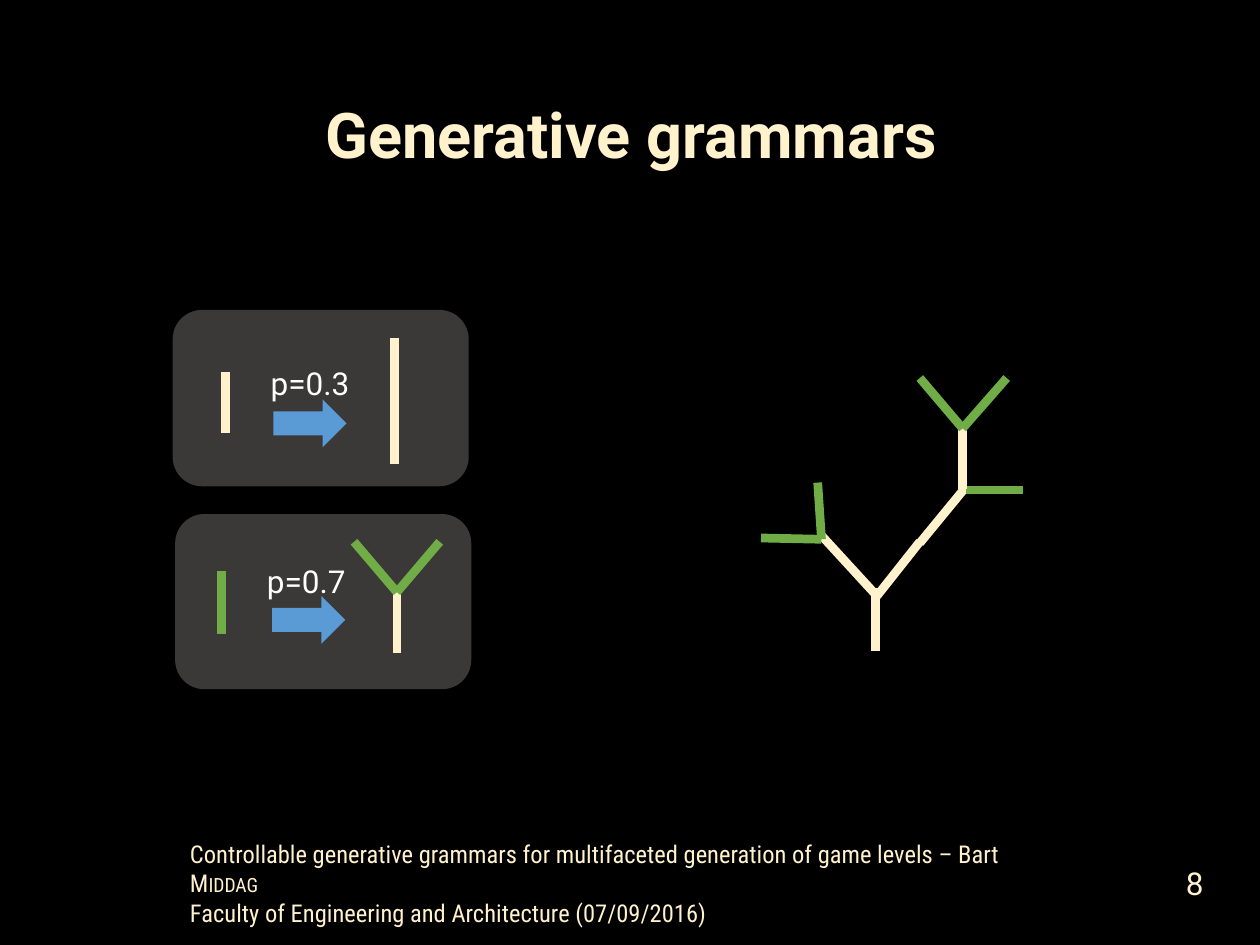
from pptx import Presentation
from pptx.dml.color import RGBColor
from pptx.enum import shapes, text
from pptx.oxml import parse_xml
from pptx.oxml.ns import nsdecls
from pptx.util import Inches, Pt

CREAM, GREEN, GREY, BLUE, WHITE = "FFF2CC", "70AD47", "3B3838", "5B9BD5", "FFFFFF"

FOOTER = [
    [("Controllable generative grammars for multifaceted generation of game levels – Bart ", False),
     ("Middag", True)],
    [("Faculty of Engineering and Architecture (07/09/2016)", False)],
]

TREE = [
    (CREAM, (6.95, 4.67), (6.95, 5.17)),
    (CREAM, (7.67, 3.86), (7.3, 4.31)),
    (GREEN, (8.12, 3.89), (7.67, 3.89)),
    (CREAM, (7.64, 3.37), (7.64, 3.88)),
    (GREEN, (7.99, 3), (7.64, 3.4)),
    (GREEN, (7.3, 3), (7.64, 3.4)),
    (CREAM, (7.3, 4.3), (6.96, 4.73)),
    (CREAM, (6.52, 4.25), (6.96, 4.73)),
    (GREEN, (6.49, 3.83), (6.52, 4.28)),
    (GREEN, (6.04, 4.27), (6.52, 4.28)),
]

RULES = [
    {"panel": (1.39, 4.08, 2.35, 1.39), "arrow": (2.16, 4.73),
     "label": "p=0.7", "label_at": (2.02, 4.41),
     "branches": [
         (GREEN, (1.76, 4.53), (1.76, 5.03)),
         (CREAM, (3.15, 4.67), (3.15, 5.18)),
         (GREEN, (3.49, 4.3), (3.15, 4.7)),
         (GREEN, (2.81, 4.3), (3.15, 4.7)),
     ]},
    {"panel": (1.37, 2.46, 2.35, 1.4), "arrow": (2.17, 3.17),
     "label": "p=0.3", "label_at": (2.05, 2.84),
     "branches": [
         (CREAM, (1.79, 2.95), (1.79, 3.44)),
         (CREAM, (3.13, 3.17), (3.13, 3.68)),
         (CREAM, (3.13, 2.68), (3.13, 3.17)),
     ]},
]


def color(value):
    return RGBColor.from_string(value)


def inches(*values):
    return [Inches(value) for value in values]


def style(span, size, font="Roboto", fill=CREAM, bold=False):
    span.font.size = Pt(size)
    span.font.name = font
    span.font.bold = bold
    span.font.color.rgb = color(fill)


def add_text(parent, place, words, size, align=text.PP_ALIGN.LEFT,
             anchor=text.MSO_ANCHOR.TOP, wrap=True, **look):
    frame = parent.add_textbox(*inches(*place)).text_frame
    frame.word_wrap = wrap
    frame.vertical_anchor = anchor
    frame.text = words
    para = frame.paragraphs[0]
    para.alignment = align
    for span in para.runs:
        style(span, size, **look)
    return para


def add_shape(parent, kind, place, fill):
    shape = parent.add_shape(kind, *inches(*place))
    shape.shadow.inherit = False
    shape.fill.solid()
    shape.fill.fore_color.rgb = color(fill)
    shape.line.fill.background()


def add_branches(parent, branches):
    for fill, start, end in branches:
        branch = parent.add_connector(shapes.MSO_CONNECTOR.STRAIGHT, *inches(*start, *end))
        branch.line.color.rgb = color(fill)
        branch.line.width = Pt(5)
        branch._element.spPr.append(parse_xml(f"<a:effectLst {nsdecls('a')}/>"))


def add_footer(parent):
    para = add_text(parent, (1.41, 6.61, 7.17, 0.57), "", 14)
    for number, line in enumerate(FOOTER):
        if number:
            para.add_line_break()
        for words, small_caps in line:
            span = para.add_run()
            span.text = words
            style(span, 14, "Roboto Condensed")
            if small_caps:
                span._r.get_or_add_rPr().set("cap", "small")


def main():
    deck = Presentation()
    deck.slide_width, deck.slide_height = inches(10, 7.5)
    page = deck.slides.add_slide(deck.slide_layouts[6])
    page.background.fill.solid()
    page.background.fill.fore_color.rgb = color("000000")

    add_footer(page.shapes)
    add_branches(page.shapes.add_group_shape().shapes, TREE)
    title = add_text(page.shapes, (0.48, 0.57, 9.06, 1.06), "Generative grammars", 36,
                     text.PP_ALIGN.CENTER, text.MSO_ANCHOR.MIDDLE, bold=True)
    title.line_spacing = 0.9
    add_text(page.shapes, (8.51, 6.81, 1.14, 0.4), "8", 18,
             text.PP_ALIGN.RIGHT, text.MSO_ANCHOR.MIDDLE)

    for rule in RULES:
        group = page.shapes.add_group_shape().shapes
        add_shape(group, shapes.MSO_SHAPE.ROUNDED_RECTANGLE, rule["panel"], GREY)
        add_branches(group, rule["branches"])
        add_shape(group, shapes.MSO_SHAPE.RIGHT_ARROW, (*rule["arrow"], 0.58, 0.38), BLUE)
        add_text(group, (*rule["label_at"], 0.9, 0.4), rule["label"], 18, wrap=False, fill=WHITE)

    deck.save("out.pptx")


if __name__ == "__main__":
    main()
